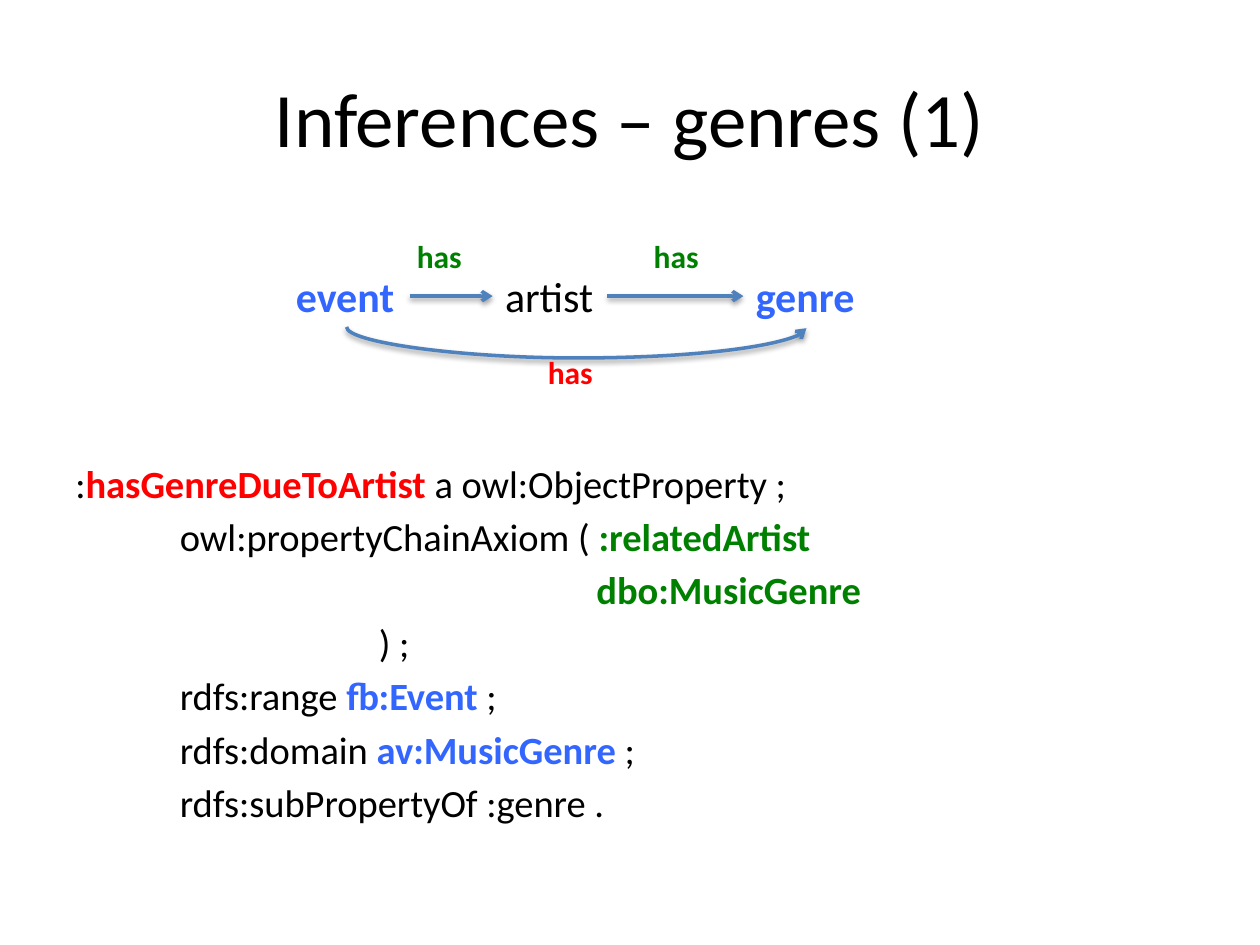
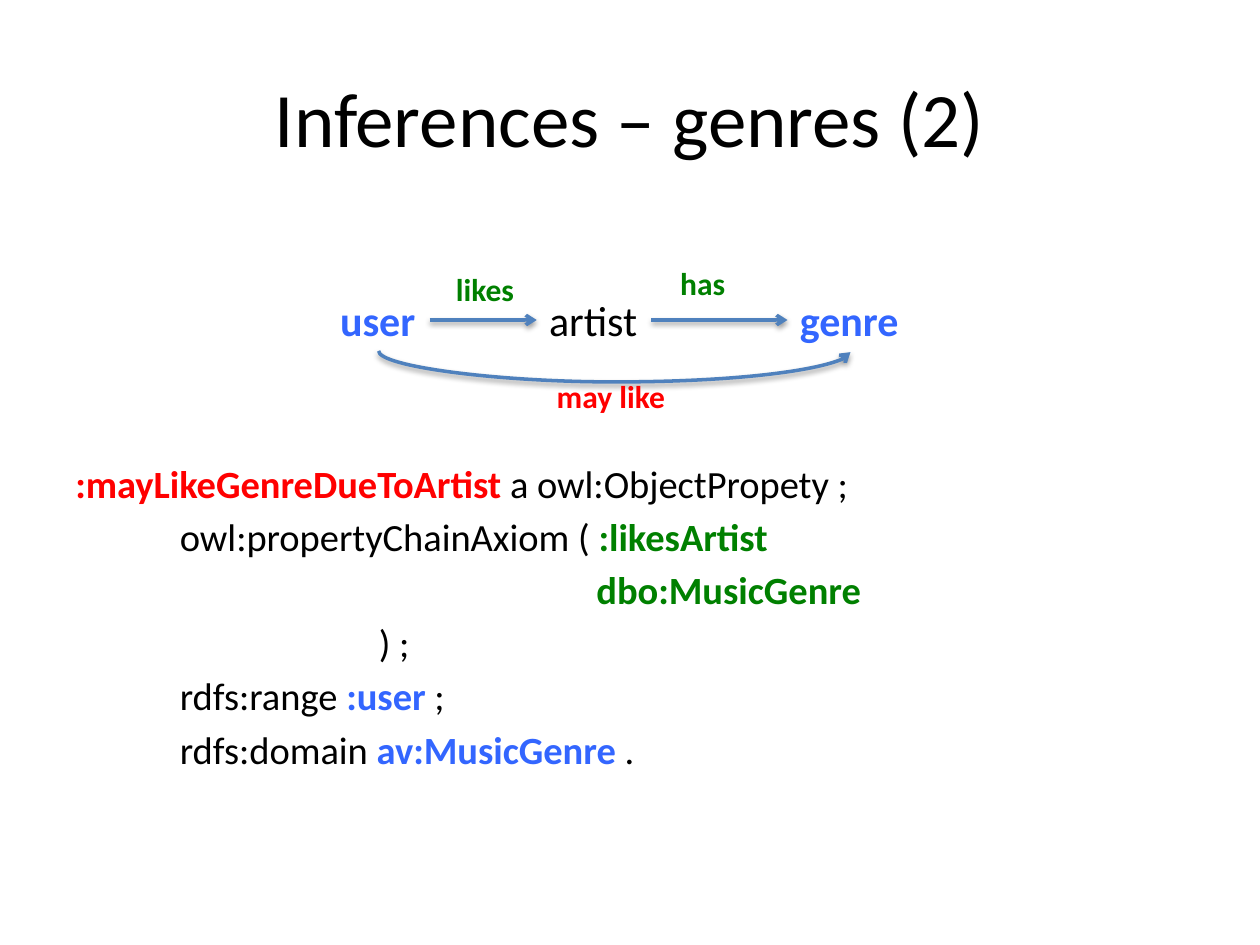
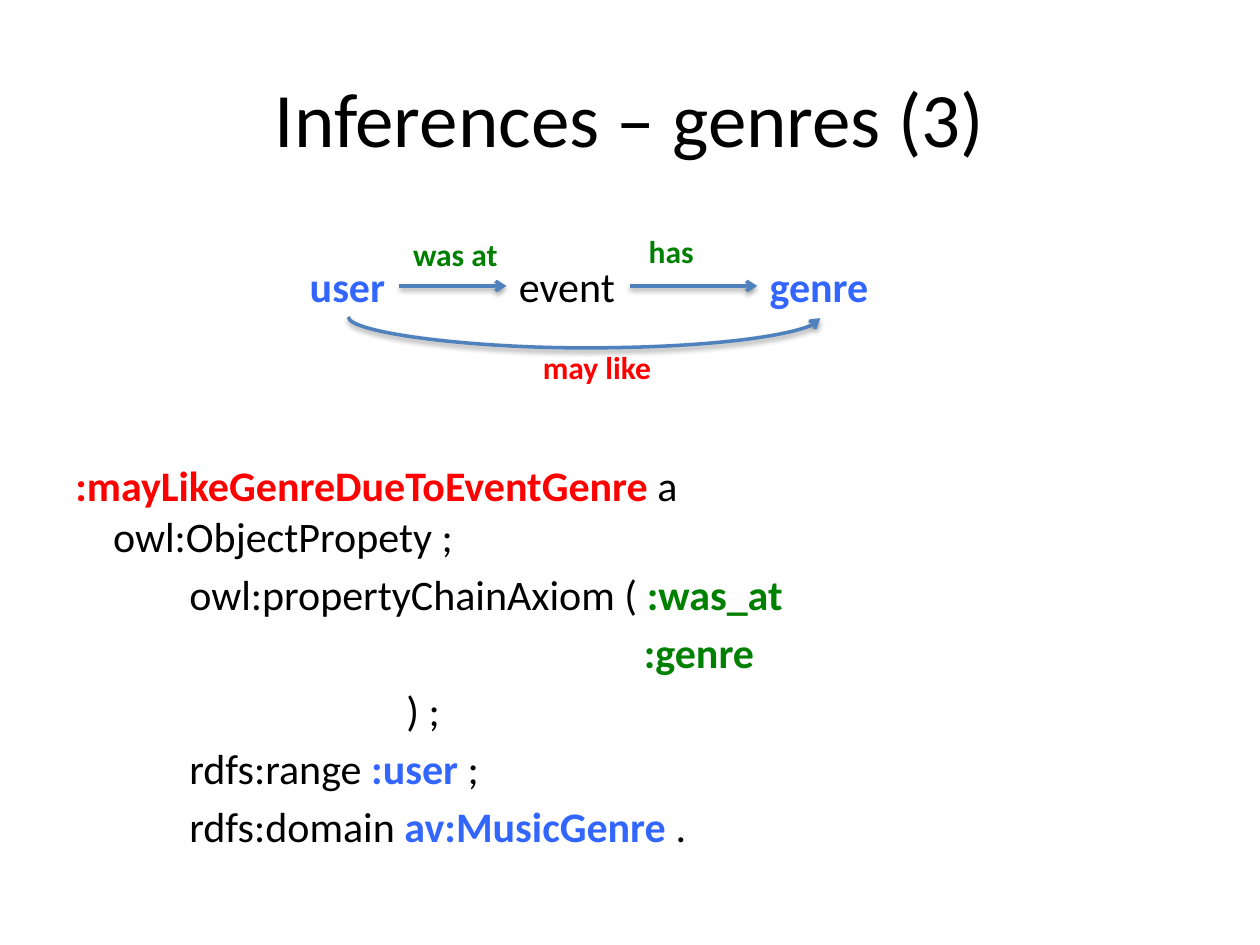
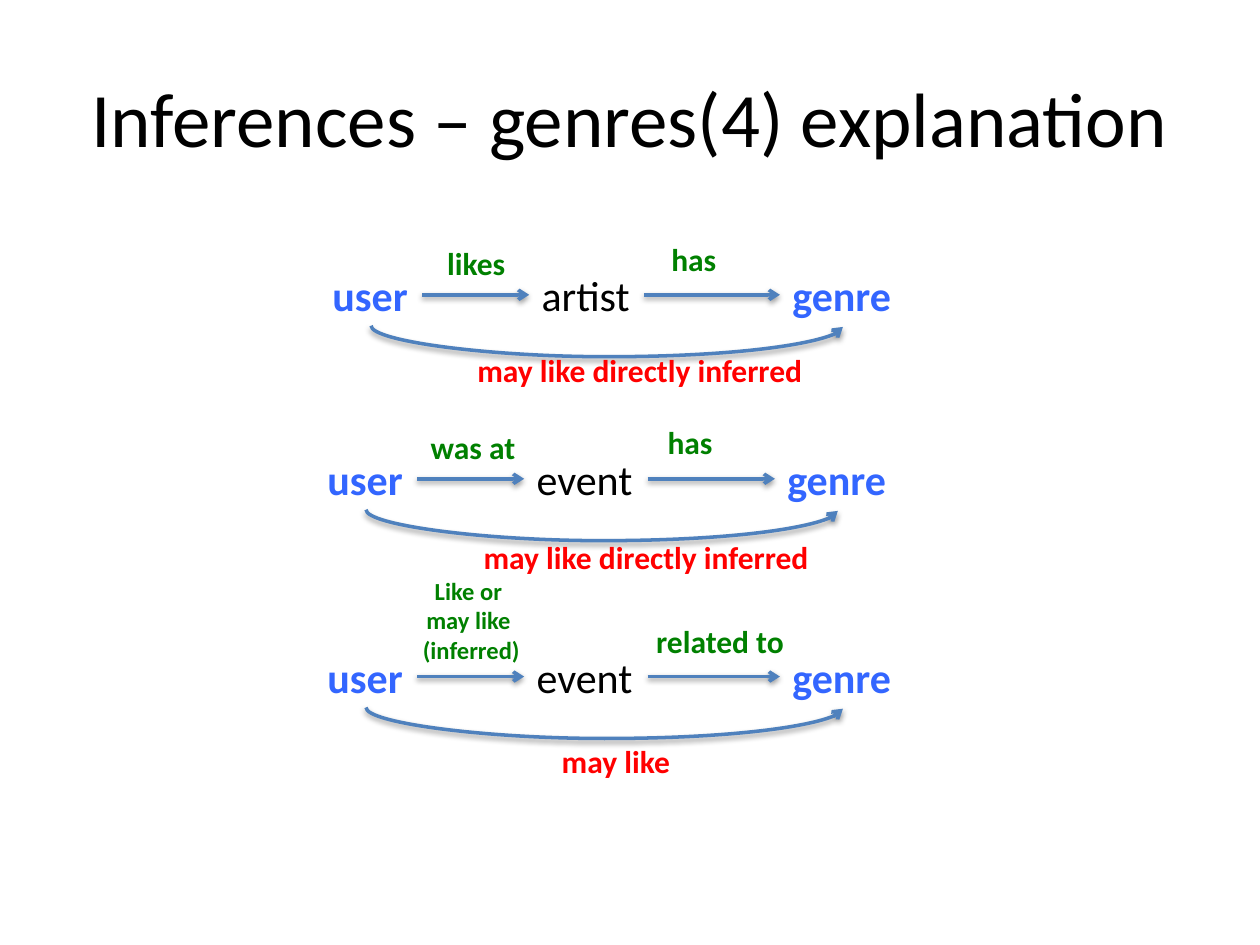
from lxml import etree
from pptx import Presentation
from pptx.dml.color import RGBColor
from pptx.enum.shapes import MSO_CONNECTOR
from pptx.enum.text import MSO_ANCHOR, PP_ALIGN
from pptx.oxml import parse_xml
from pptx.oxml.ns import nsdecls, qn
from pptx.util import Inches, Pt

BLACK = RGBColor(0x00, 0x00, 0x00)
BLUE = RGBColor(0x33, 0x66, 0xFF)
GREEN = RGBColor(0x00, 0x80, 0x00)
RED = RGBColor(0xFF, 0x00, 0x00)
STEEL = RGBColor(0x4F, 0x81, 0xBD)

FONT = "Calibri"
NODE_WIDTHS = {"user": 0.81, "artist": 0.91}
EVENT_WIDTHS = {True: 1.0, False: 0.98}  # bold, regular
LABEL_WIDTHS = {"has": 0.57, "likes": 0.68, "was at": 0.88, "may like": 1.09,
                "related to": 1.24, "may like directly inferred": 2.83}
NODE_HEIGHT = 0.5
MIDDLE_OFFSET = 1.66
# Code indents in inches per point of text size
STEP, CLOSING, OPERAND = 0.0377, 0.1095, 0.188

SHADOW = (f'<a:effectLst {nsdecls("a")}><a:outerShdw blurRad="40000" dist="20000" '
          'dir="5400000" rotWithShape="0"><a:srgbClr val="000000">'
          '<a:alpha val="38000"/></a:srgbClr></a:outerShdw></a:effectLst>')


class Deck:
    """Holds the presentation, its style and the current slide."""

    def __init__(self):
        self.prs = Presentation()
        self.prs.slide_width, self.prs.slide_height = Inches(10), Inches(7.5)
        self.s = None

    def slide(self, title):
        """Start a slide with a centred title."""
        self.s = self.prs.slides.add_slide(self.prs.slide_layouts[6])
        tf = self.box(0.5, 0.3, 9, 1.25)
        tf.vertical_anchor = MSO_ANCHOR.MIDDLE
        p = tf.paragraphs[0]
        p.text, p.alignment = title, PP_ALIGN.CENTER
        self.style(p, 44)

    def box(self, x, y, w, h, wrap=True):
        """Add a text box and return its text frame."""
        tf = self.s.shapes.add_textbox(Inches(x), Inches(y), Inches(w), Inches(h)).text_frame
        tf.word_wrap = wrap
        return tf

    def style(self, p, size, color=BLACK):
        """Set a paragraph's font; coloured words are bold."""
        f = p.font
        f.name, f.size, f.bold = FONT, Pt(size), color != BLACK
        f.color.rgb = color

    def word(self, text, x, y, w, h, size, color, align=PP_ALIGN.LEFT):
        """Add unwrapped text, one paragraph per line."""
        tf = self.box(x, y, w, h, wrap=False)
        tf.text = text
        for p in tf.paragraphs:
            p.alignment = align
            self.style(p, size, color)

    def label(self, text, x, y, color):
        """Name a relation."""
        self.word(text, x, y, LABEL_WIDTHS[text], 0.4, 18, color)

    def connector(self, kind, x1, y1, x2, y2):
        """Add a shadowed arrow."""
        c = self.s.shapes.add_connector(kind, Inches(x1), Inches(y1), Inches(x2), Inches(y2))
        c.line.color.rgb, c.line.width = STEEL, Pt(2)
        etree.SubElement(c.line._get_or_add_ln(), qn("a:tailEnd"), type="arrow")
        c._element.spPr.append(parse_xml(SHADOW))
        return c

    def curve(self, x1, x2, y):
        """Add an arrow that hangs below the line from x1 to x2."""
        mid, half, drop = (x1 + x2) / 2, (x2 - x1) / 2, 0.01
        c = self.connector(MSO_CONNECTOR.CURVE, mid + drop / 2, y - half,
                           mid - drop / 2, y + half)
        spPr = c._element.spPr
        spPr.find(qn("a:xfrm")).set("rot", "16200000")
        guides = spPr.find(qn("a:prstGeom")).get_or_add_avLst()
        etree.SubElement(guides, qn("a:gd"), name="adj1", fmla="val 2500000")

    def chain(self, x, y, first, middle, last_offset=3.65):
        """Draw first -> middle -> genre with the inferred curve below."""
        nodes = [(first, x, BLUE), (middle, x + MIDDLE_OFFSET, BLACK),
                 ("genre", x + last_offset, BLUE)]
        spans = []
        for name, left, color in nodes:
            w = NODE_WIDTHS.get(name) or EVENT_WIDTHS[color != BLACK]
            self.word(name, left, y, w, NODE_HEIGHT, 24, color)
            spans.append((left, left + w))
        for (_, start), (end, _) in zip(spans, spans[1:]):
            self.connector(MSO_CONNECTOR.STRAIGHT, start, y + 0.25, end, y + 0.25)
        self.curve(sum(spans[0]) / 2, sum(spans[-1]) / 2, y + NODE_HEIGHT)

    def code(self, size, head, operands, *tail):
        """Write an axiom: head, chain operands, then the closing statements."""
        first, second = operands
        lines = [(0, head),
                 (STEP, [("owl:propertyChainAxiom ( ", BLACK), (first, GREEN)]),
                 (OPERAND, [(second, GREEN)]),
                 (CLOSING, [(") ;", BLACK)])]
        lines += [(STEP, runs) for runs in tail]
        tf = self.box(0.5, 1.75, 9, 4.95)
        tf.margin_top = Inches(1.9)
        for i, (indent, runs) in enumerate(lines):
            p = tf.add_paragraph() if i else tf.paragraphs[0]
            p.space_before = Pt(0.18 * size if i else 0)
            # The head hangs, so its second line is set in a little
            pPr = p._p.get_or_add_pPr()
            pPr.set("marL", str(Inches(indent * size if i else 0.3)))
            pPr.set("indent", str(0 if i else -Inches(0.3)))
            for text, color in runs:
                if text.startswith("\n"):
                    p.add_line_break()
                r = p.add_run()
                r.text = text.lstrip("\n")
                self.style(r, size, color)


def statement(name, value, end):
    """Return the runs of one statement with a blue value."""
    return [(f"rdfs:{name} ", BLACK), (value, BLUE), (f" {end}", BLACK)]


deck = Deck()

deck.slide("Inferences – genres (1)")
deck.code(22, [(":", BLACK), ("hasGenreDueToArtist ", RED), ("a owl:ObjectProperty ;", BLACK)],
          (":relatedArtist", "dbo:MusicGenre"),
          statement("range", "fb:Event", ";"),
          statement("domain", "av:MusicGenre", ";"),
          [("rdfs:subPropertyOf :genre .", BLACK)])
deck.chain(2.25, 2.1, "event", "artist")
deck.label("has", 3.21, 1.83, GREEN)
deck.label("has", 5.09, 1.83, GREEN)
deck.label("has", 4.25, 2.75, RED)

deck.slide("Inferences – genres (2)")
deck.code(22, [(":mayLikeGenreDueToArtist", RED), (" a owl:ObjectPropety ;", BLACK)],
          (":likesArtist", "dbo:MusicGenre"),
          statement("range", ":user", ";"),
          statement("domain", "av:MusicGenre", "."))
deck.chain(2.6, 2.29, "user", "artist")
deck.label("likes", 3.52, 2.09, GREEN)
deck.label("has", 5.3, 2.05, GREEN)
deck.label("may like", 4.32, 2.94, RED)

deck.slide("Inferences – genres (3)")
deck.code(24, [(":mayLikeGenreDueToEventGenre ", RED), ("a", BLACK),
               ("\nowl:ObjectPropety ;", BLACK)],
          (":was_at", ":genre"),
          statement("range", ":user", ";"),
          statement("domain", "av:MusicGenre", "."))
deck.chain(2.36, 2.02, "user", "event")
deck.label("was at", 3.18, 1.82, GREEN)
deck.label("has", 5.05, 1.79, GREEN)
deck.label("may like", 4.21, 2.71, RED)

deck.slide("Inferences – genres(4) explanation")
deck.chain(2.54, 2.09, "user", "artist")
deck.label("likes", 3.45, 1.89, GREEN)
deck.label("has", 5.23, 1.86, GREEN)
deck.label("may like directly inferred", 3.69, 2.74, RED)
deck.chain(2.5, 3.55, "user", "event")
deck.label("was at", 3.32, 3.35, GREEN)
deck.label("has", 5.2, 3.31, GREEN)
deck.label("may like directly inferred", 3.74, 4.22, RED)
deck.chain(2.5, 5.12, "user", "event", last_offset=3.69)
deck.word("Like or \nmay like \n(inferred)", 3.25, 4.52, 0.98, 0.81, 14, GREEN, PP_ALIGN.CENTER)
deck.label("related to", 5.11, 4.89, GREEN)
deck.label("may like", 4.36, 5.84, RED)

deck.prs.save("out.pptx")
